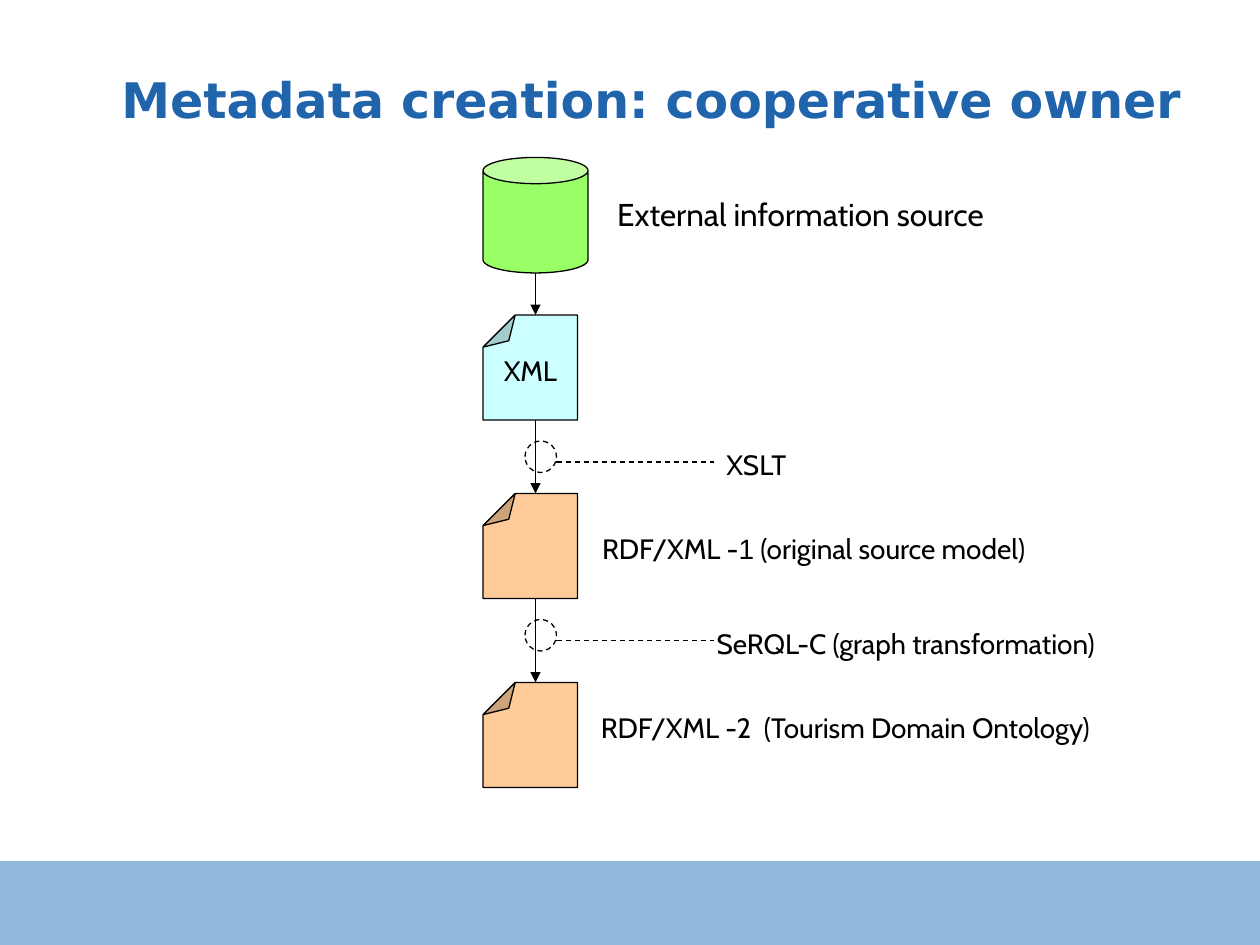
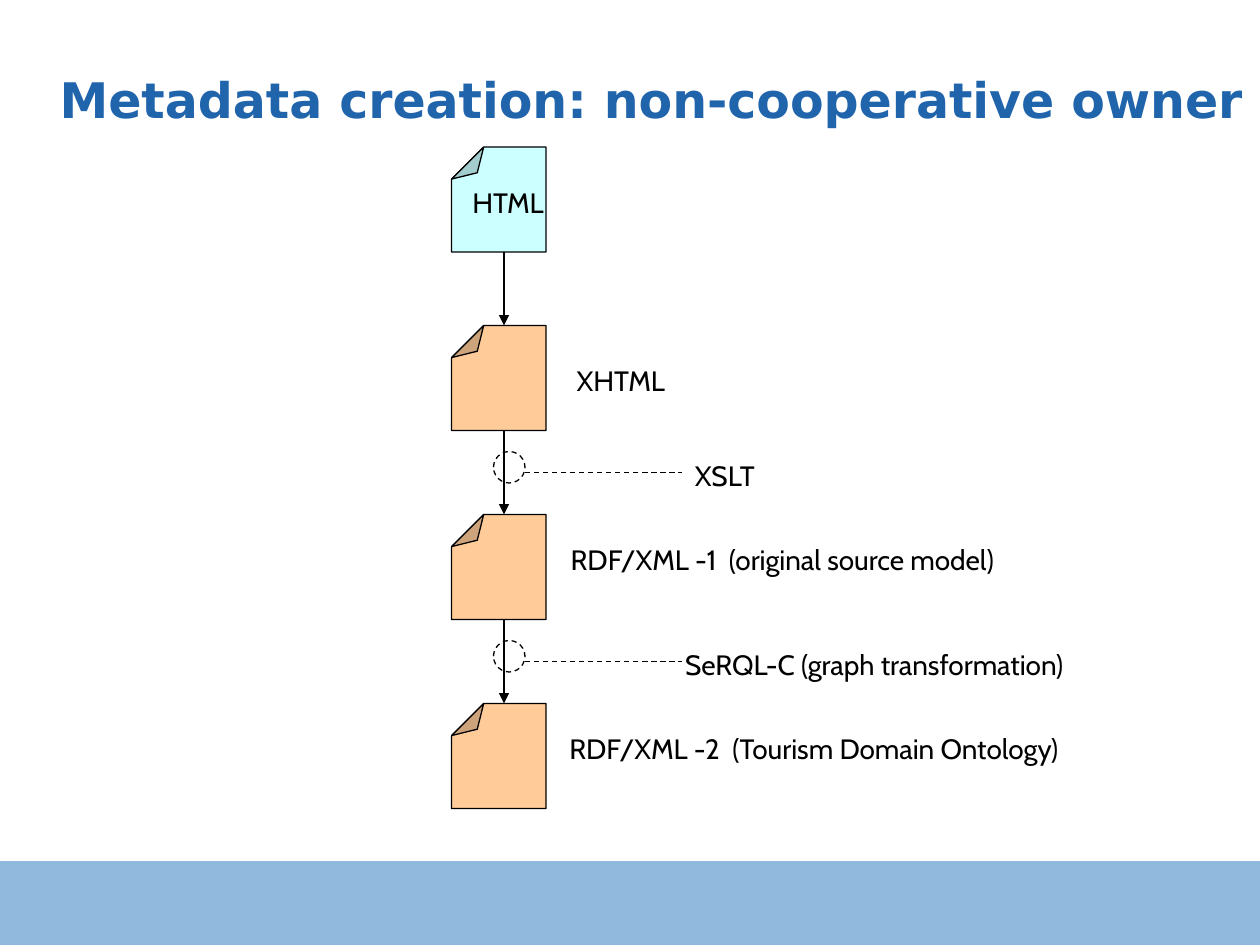
"""Build two slides on creating metadata from cooperative and non-cooperative owners."""
import itertools

import pptx
import pptx.dml.color
import pptx.enum.dml
import pptx.enum.shapes
import pptx.enum.text
import pptx.oxml
import pptx.util

Pt = pptx.util.Pt
RGB = pptx.dml.color.RGBColor.from_string
SHAPES = pptx.enum.shapes.MSO_SHAPE
ANCHOR = pptx.enum.text.MSO_ANCHOR
ALIGN = pptx.enum.text.PP_ALIGN
DASH = pptx.enum.dml.MSO_LINE.DASH
NAMESPACE = 'xmlns:a="http://schemas.openxmlformats.org/drawingml/2006/main"'

COLORS = {
    "band": "91B9DE",
    "title": "2064AC",
    "ink": "000000",
    "database": "99FF66",
    "source": "CCFFFF",
    "rdf": "FFCC99",
}
DOC_WIDTH, DOC_HEIGHT, DOC_OFFSET = 54, 60, -30
LABEL_HEIGHT = 26.6

XSLT = ("XSLT", 102, 49.7)
SERQL = ("SeRQL-C (graph transformation)", 96.5, 259.2)
TOURISM = (390, "rdf", ("RDF/XML -2  (Tourism Domain Ontology)",), 30.3, 12, 316.8, SERQL)

flows = [
    {
        "title": "Metadata creation: cooperative owner",
        "spine": 306,
        "database_top": 90,
        "documents": [
            (180, "source", ("XML",), -25.2, 18, 46.1, None),
            (282, "rdf", ("RDF/XML -", "1", " (original source model)"), 31, 18, 276.5, XSLT),
            TOURISM,
        ],
    },
    {
        "title": "Metadata creation: non-cooperative owner",
        "spine": 288,
        "database_top": None,
        "documents": [
            (84, "source", ("HTML",), -25.2, 18, 57.6, None),
            (186, "rdf", ("XHTML",), 34.5, 18, 67, None),
            (294, "rdf", ("RDF/XML -1  (original source model)",), 31, 12, 282.2, XSLT),
            (402, *TOURISM[1:]),
        ],
    },
]


def add_text(slide, pieces, left, top, width, height, *, size=16, font="Cabin", color="ink",
             bold=False, align=ALIGN.LEFT, anchor=ANCHOR.BOTTOM, wrap=False, margin_top=3.6):
    """Write pieces in one paragraph; every second piece is in Arial."""
    box = slide.shapes.add_textbox(Pt(left), Pt(top), Pt(width), Pt(height))
    frame = box.text_frame
    frame.word_wrap = wrap
    frame.vertical_anchor = anchor
    frame.margin_top = Pt(margin_top)
    paragraph = frame.paragraphs[0]
    paragraph.alignment = align
    for piece, face in zip(pieces, itertools.cycle((font, "Arial"))):
        run = paragraph.add_run()
        run.text = piece
        run.font.name = face
        run.font.size = Pt(size)
        run.font.bold = bold
        run.font.color.rgb = RGB(COLORS[color])


def draw(slide, kind, left, top, width, height, fill=None, line="ink", dashed=False, arrow=False):
    """Draw a preset shape, or a straight connector when kind is None."""
    if kind is None:
        part = slide.shapes.add_connector(pptx.enum.shapes.MSO_CONNECTOR.STRAIGHT, Pt(left), Pt(top),
                                          Pt(left + width), Pt(top + height))
        part._element.spPr.append(pptx.oxml.parse_xml(f"<a:effectLst {NAMESPACE}/>"))
    else:
        part = slide.shapes.add_shape(kind, Pt(left), Pt(top), Pt(width), Pt(height))
        part.shadow.inherit = False
        if fill:
            part.fill.solid()
            part.fill.fore_color.rgb = RGB(COLORS[fill])
        else:
            part.fill.background()
    if line:
        part.line.color.rgb = RGB(COLORS[line])
        part.line.width = Pt(0.75)
    else:
        part.line.fill.background()
    if dashed:
        part.line.dash_style = DASH
    if arrow:
        part.line._get_or_add_ln().append(
            pptx.oxml.parse_xml(f'<a:tailEnd {NAMESPACE} type="triangle"/>'))
    return part


deck = pptx.Presentation()
deck.slide_width, deck.slide_height = Pt(720), Pt(540)

for flow in flows:
    slide = deck.slides.add_slide(deck.slide_layouts[6])
    draw(slide, SHAPES.RECTANGLE, 0, 492, 720, 48, fill="band", line=None)
    add_text(slide, (flow["title"],), 24, 0, 696, 75, size=28, font="DejaVu Sans", color="title",
             bold=True, align=ALIGN.CENTER, anchor=ANCHOR.TOP, wrap=True, margin_top=39.6)
    spine = flow["spine"]
    previous_bottom = None

    if flow["database_top"] is not None:
        database_top = flow["database_top"]
        database = draw(slide, SHAPES.CAN, spine - 30, database_top, 60, 66, fill="database")
        database.adjustments[0] = 0.25
        add_text(slide, ("External information source",), spine + 39.6, database_top + 18,
                 250.6, 28.8, size=18)
        previous_bottom = database_top + 66

    for top, fill, label, label_offset, label_drop, label_width, transform in flow["documents"]:
        if previous_bottom is not None:
            draw(slide, None, spine, previous_bottom, 0, top - previous_bottom, arrow=True)
        document = draw(slide, SHAPES.FOLDED_CORNER, spine + DOC_OFFSET, top, DOC_WIDTH, DOC_HEIGHT,
                        fill=fill)
        document._element.spPr.prstGeom.get_or_add_avLst().append(
            pptx.oxml.parse_xml(f'<a:gd {NAMESPACE} name="adj" fmla="val 34000"/>'))
        document.rotation = 180
        add_text(slide, label, spine + label_offset, top + label_drop, label_width, LABEL_HEIGHT)
        if transform:
            name, name_offset, name_width = transform
            draw(slide, SHAPES.OVAL, spine - 6, previous_bottom + 12, 18, 18, dashed=True)
            draw(slide, None, spine + 12, previous_bottom + 24, 90, 0, dashed=True)
            add_text(slide, (name,), spine + name_offset, previous_bottom + 12, name_width,
                     LABEL_HEIGHT)
        previous_bottom = top + DOC_HEIGHT

deck.save("out.pptx")
